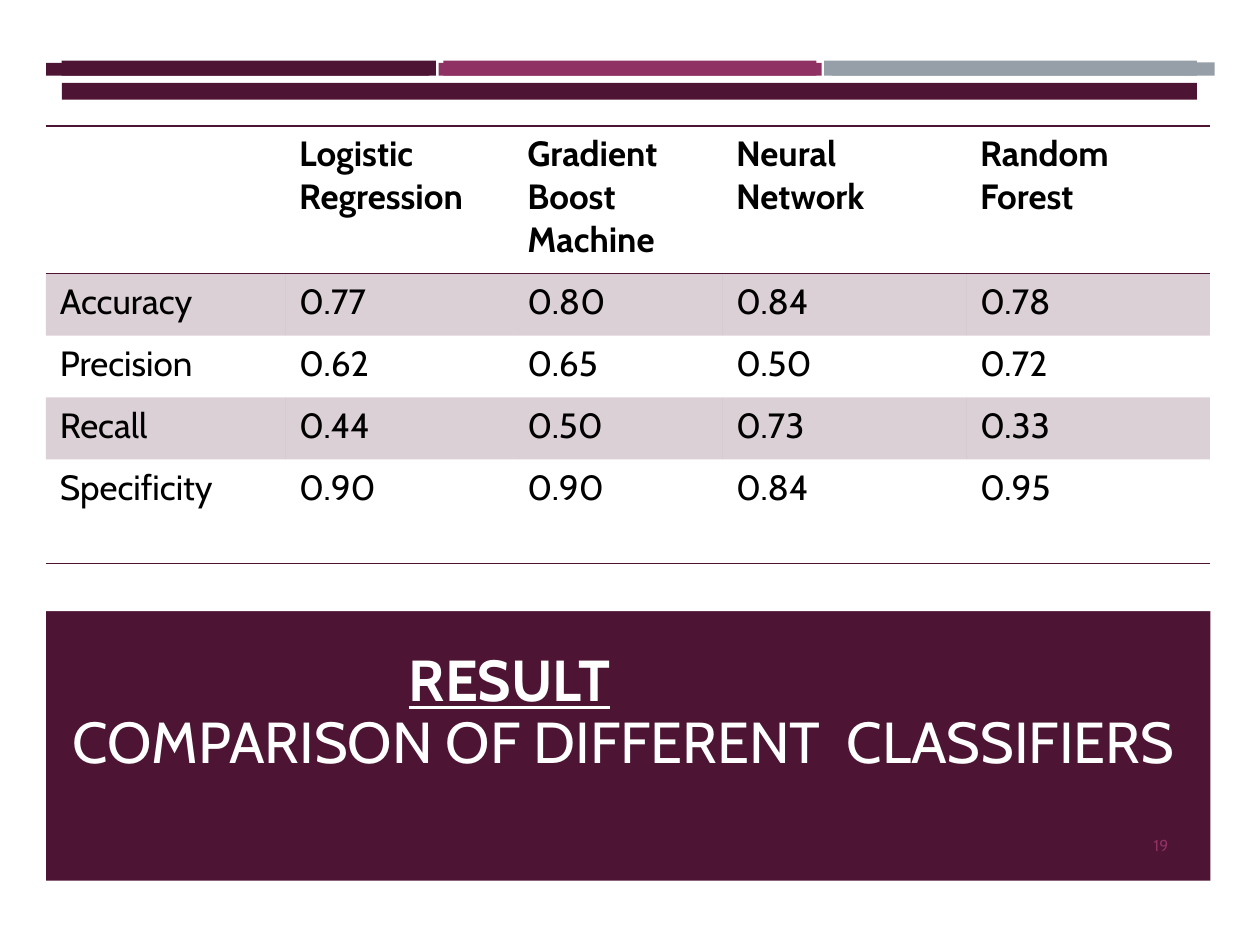
from lxml.etree import SubElement
from pptx import Presentation
from pptx.dml.color import RGBColor
from pptx.enum.shapes import MSO_SHAPE
from pptx.enum.text import MSO_ANCHOR, PP_ALIGN
from pptx.oxml.ns import qn
from pptx.util import Pt

PLUM, ROSE, GREY, WHITE, BLACK = "4D1434", "903163", "969FA7", "FFFFFF", "000000"
FONT = "Cabin"
NO_STYLE = "{2D5ABB26-0587-4C30-8999-92F81FD0307C}"

# left, top, width, height, colour; from back to front
BARS = [
    (35.3, 34.6, 213.8, 8.6, PLUM),
    (470.9, 34.6, 213.1, 8.6, GREY),
    (253.4, 34.6, 213.1, 8.6, ROSE),
    (35.3, 47.3, 648.7, 99.4, PLUM),
    (26.4, 36, 218.9, 7.2, PLUM),
    (475.2, 35.7, 218.9, 7.6, GREY),
    (250.6, 36, 218.9, 7.2, ROSE),
    (26.4, 242.6, 665.3, 260.6, PLUM),
]
TABLE_COVER = (0, 56.9, 720, 292.3, WHITE)

RESULTS = [
    ["", "Logistic\nRegression", "Gradient Boost Machine", "Neural\nNetwork", "Random Forest"],
    ["Accuracy", "0.77", "0.80", "0.84", "0.78"],
    ["Precision", "0.62", "0.65", "0.50", "0.72"],
    ["Recall", "0.44", "0.50", "0.73", "0.33"],
    ["Specificity", "0.90", "0.90", "0.84", "0.95"],
]
TABLE_LEFT, TABLE_TOP = 26.2, 72
COL_WIDTHS = [136.8, 130.4, 119.3, 139.4, 139.4]
ROW_HEIGHTS = [84.4, 35.4, 35.4, 35.4, 59.6]
CELL_FORMAT = {"margin_left": Pt(8), "margin_right": Pt(8),
               "margin_top": Pt(4), "margin_bottom": Pt(4)}

TITLE_BOX = (34.6, 362.9, 649.4, 84.2)
RESULT_INDENT = 192
NUMBER_BOX = (614.2, 468.7, 60.5, 28.8)


def rgb(colour):
    return RGBColor.from_string(colour)


def set_all(target, values):
    for name, value in values.items():
        setattr(target, name, value)


def style(font, size, colour, **extra):
    set_all(font, {"name": FONT, "size": Pt(size), **extra})
    font.color.rgb = rgb(colour)


def add_bar(slide, x, y, w, h, colour):
    s = slide.shapes.add_shape(MSO_SHAPE.RECTANGLE, Pt(x), Pt(y), Pt(w), Pt(h))
    s.shadow.inherit = False
    s.fill.solid()
    s.fill.fore_color.rgb = rgb(colour)
    s.line.fill.background()


def add_text_frame(slide, box, anchor):
    tf = slide.shapes.add_textbox(*map(Pt, box)).text_frame
    set_all(tf, {"word_wrap": True, "vertical_anchor": anchor})
    return tf


def add_border(cell, side):
    ln = SubElement(cell._tc.get_or_add_tcPr(), qn(f"a:ln{side}"), w=str(Pt(1)))
    SubElement(SubElement(ln, qn("a:solidFill")), qn("a:srgbClr"), val=PLUM)


def fill_cell(cell, shaded):
    if not shaded:
        cell.fill.background()
        return
    cell.fill.solid()
    cell.fill.fore_color.rgb = rgb(PLUM)
    colour = cell._tc.tcPr.find(qn("a:solidFill")).find(qn("a:srgbClr"))
    SubElement(colour, qn("a:alpha"), val="20000")


def add_results(slide):
    frame = slide.shapes.add_table(
        len(RESULTS), len(COL_WIDTHS), Pt(TABLE_LEFT), Pt(TABLE_TOP),
        Pt(sum(COL_WIDTHS)), Pt(sum(ROW_HEIGHTS)))
    table = frame.table
    table._tbl.tblPr.find(qn("a:tableStyleId")).text = NO_STYLE
    for column, width in zip(table.columns, COL_WIDTHS):
        column.width = Pt(width)
    for i, (row, height) in enumerate(zip(table.rows, ROW_HEIGHTS)):
        row.height = Pt(height)
        sides = {0: "TB", len(RESULTS) - 1: "B"}.get(i, "")
        for cell, text in zip(row.cells, RESULTS[i]):
            set_all(cell, CELL_FORMAT)
            cell.text = text
            for p in cell.text_frame.paragraphs:
                style(p.font, 20, BLACK)
                for r in p.runs:
                    style(r.font, 20, BLACK, bold=i == 0)
            for side in sides:
                add_border(cell, side)
            fill_cell(cell, shaded=i % 2 == 1)


def add_title(slide):
    tf = add_text_frame(slide, TITLE_BOX, MSO_ANCHOR.BOTTOM)
    tf.text = "RESULT\nCOMPARISON OF DIFFERENT  CLASSIFIERS"
    heading, subject = tf.paragraphs
    for p in (heading, subject):
        set_all(p, {"line_spacing": 0.9, "space_after": Pt(0)})
    heading._p.get_or_add_pPr().set("marL", str(Pt(RESULT_INDENT)))
    style(heading.runs[0].font, 33, WHITE, bold=True, underline=True)
    style(subject.runs[0].font, 33, WHITE)


def add_number(slide):
    p = add_text_frame(slide, NUMBER_BOX, MSO_ANCHOR.MIDDLE).paragraphs[0]
    p.alignment = PP_ALIGN.RIGHT
    r = p.add_run()
    r.text = "19"
    style(r.font, 9, ROSE)


def main():
    prs = Presentation()
    set_all(prs, {"slide_width": Pt(720), "slide_height": Pt(540)})
    slide = prs.slides.add_slide(prs.slide_layouts[6])
    for bar in BARS:
        add_bar(slide, *bar)
    add_title(slide)
    add_bar(slide, *TABLE_COVER)
    add_results(slide)
    add_number(slide)
    prs.save("out.pptx")


if __name__ == "__main__":
    main()
